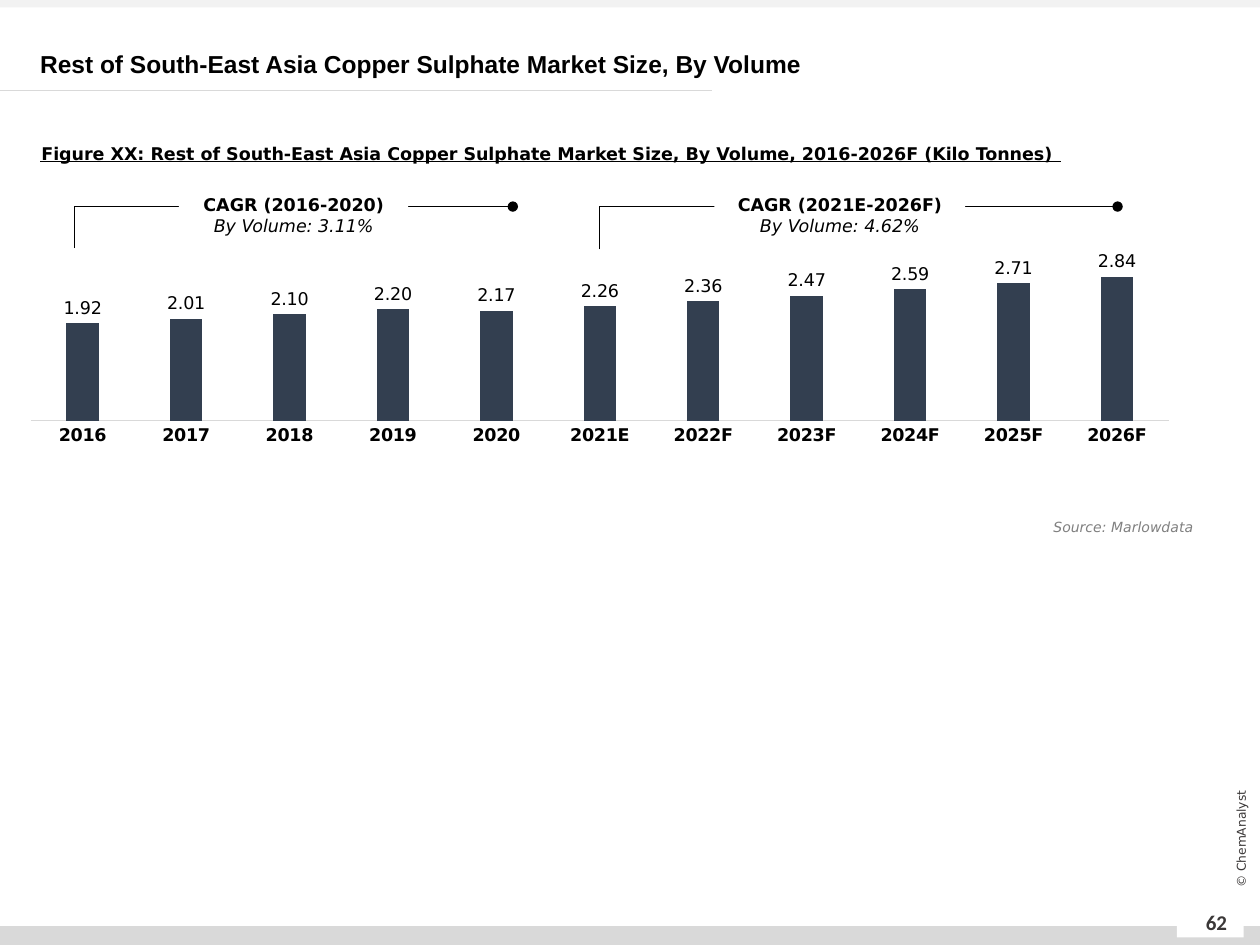
from lxml import etree
from pptx import Presentation
from pptx.chart.data import CategoryChartData
from pptx.dml.color import RGBColor
from pptx.enum import chart as charts, shapes, text
from pptx.oxml import parse_xml
from pptx.oxml.ns import nsdecls, qn
from pptx.util import Inches, Pt

BLACK = RGBColor(0, 0, 0)
WHITE = RGBColor(255, 255, 255)
PALE = RGBColor(0xF2, 0xF2, 0xF2)
SILVER = RGBColor(0xD9, 0xD9, 0xD9)
GREY = RGBColor(0x80, 0x80, 0x80)
DARK = RGBColor(0x3B, 0x38, 0x38)
NAVY = RGBColor(0x33, 0x3F, 0x50)
BODY = "DejaVu Sans"
LEFT, CENTER, RIGHT = text.PP_ALIGN.LEFT, text.PP_ALIGN.CENTER, text.PP_ALIGN.RIGHT
TOP, MIDDLE = text.MSO_ANCHOR.TOP, text.MSO_ANCHOR.MIDDLE

VOLUMES = {
    "2016": 1.92, "2017": 2.01, "2018": 2.10, "2019": 2.20, "2020": 2.17, "2021E": 2.26,
    "2022F": 2.36, "2023F": 2.47, "2024F": 2.59, "2025F": 2.71, "2026F": 2.84,
}
BANDS = [
    ((0, 7.35, 10, 0.15), SILVER),
    ((0, 0, 10, 0.06), PALE),
    ((9.34, 7.22, 0.53, 0.22), WHITE),
]
# Bracket start and end, label area, label lines
GROWTH = [
    ((4.76, 1.98), (8.87, 1.64), (5.67, 1.42, 1.99, 0.57),
     ("CAGR (2021E-2026F)", "By Volume: 4.62%")),
    ((0.59, 1.97), (4.07, 1.64), (1.42, 1.42, 1.82, 0.57),
     ("CAGR (2016-2020)", "By Volume: 3.11%")),
]
FOOTERS = [
    ((9.41, 7.12, 0.49, 0.4), "62", dict(size=Pt(12), name="Calibri", bold=True), 0),
    ((9.25, 6.58, 1.2, 0.16), "© ChemAnalyst", dict(size=Pt(7), name=BODY), 270),
]
FIGURE = ("Figure XX: Rest of South-East Asia Copper Sulphate Market Size, "
          "By Volume, 2016-2026F (Kilo Tonnes)")
TITLE = "Rest of South-East Asia Copper Sulphate Market Size, By Volume"
SOURCE = "Source: Marlowdata"


def set_font(font, color=BLACK, **values):
    for key, value in values.items():
        setattr(font, key, value)
    font.color.rgb = color


def add_block(slide, area, fill):
    block = slide.shapes.add_shape(shapes.MSO_SHAPE.RECTANGLE, *map(Inches, area))
    block.shadow.inherit = False
    block.fill.solid()
    block.fill.fore_color.rgb = fill
    block.line.fill.background()
    return block


def add_text(slide, area, words, font, color=BLACK, align=LEFT, anchor=TOP, spacing=None):
    box = slide.shapes.add_textbox(*map(Inches, area))
    frame = box.text_frame
    frame.word_wrap = True
    frame.vertical_anchor = anchor
    para = frame.paragraphs[0]
    para.text = words
    para.alignment = align
    para.line_spacing = spacing
    set_font(para.font, color, **font)
    return box


def add_line(slide, start, end, color=BLACK, kind=shapes.MSO_CONNECTOR.STRAIGHT):
    line = slide.shapes.add_connector(kind, *map(Inches, start + end))
    line.line.color.rgb = color
    line.line.width = Pt(0.5)
    etree.SubElement(line.element.spPr, qn("a:effectLst"))
    return line


def add_bracket(slide, start, end):
    """Line that rises from start, then runs across to a dot at end."""
    bracket = add_line(slide, start, end, kind=shapes.MSO_CONNECTOR.ELBOW)
    guides = bracket.element.spPr.find(qn("a:prstGeom")).get_or_add_avLst()
    etree.SubElement(guides, qn("a:gd"), name="adj1", fmla="val 0")
    etree.SubElement(bracket.line._get_or_add_ln(), qn("a:tailEnd"), type="oval")


def add_growth(slide, start, end, area, lines):
    add_bracket(slide, start, end)
    frame = add_block(slide, area, WHITE).text_frame
    frame.word_wrap = True
    frame.vertical_anchor = MIDDLE
    frame.text = "\n".join(lines)
    for para, style in zip(frame.paragraphs, ("bold", "italic")):
        para.alignment = CENTER
        set_font(para.font, size=Pt(10), name=BODY, **{style: True})


def add_volume_chart(slide):
    data = CategoryChartData(number_format="0.00")
    data.categories = list(VOLUMES)
    data.add_series("Series 1", list(VOLUMES.values()))
    area = map(Inches, (0.24, 1.8, 9.04, 2.08))
    chart = slide.shapes.add_chart(charts.XL_CHART_TYPE.COLUMN_CLUSTERED, *area, data).chart
    chart.has_legend = chart.has_title = False
    set_font(chart.font, size=Pt(10), name=BODY)

    years = chart.category_axis
    years.major_tick_mark = charts.XL_TICK_MARK.NONE
    years.format.line.color.rgb = SILVER
    years.format.line.width = Pt(0.75)
    set_font(years.tick_labels.font, size=Pt(10), name=BODY, bold=True)
    scale = chart.value_axis
    scale.visible = scale.has_major_gridlines = False
    scale.minimum_scale, scale.maximum_scale = 0, 3

    plot = chart.plots[0]
    plot.gap_width, plot.overlap = 219, -27
    plot.vary_by_categories = False
    bars = plot.series[0]
    bars.format.fill.solid()
    bars.format.fill.fore_color.rgb = NAVY
    labels = bars.data_labels
    label_format = dict(show_value=True, number_format="0.00", number_format_is_linked=False,
                        position=charts.XL_LABEL_POSITION.OUTSIDE_END)
    for key, value in label_format.items():
        setattr(labels, key, value)
    set_font(labels.font, size=Pt(10), name=BODY)

    plot_area = chart.element.chart.plotArea
    for old in plot_area.findall(qn("c:layout")):
        plot_area.remove(old)
    plot_area.insert(0, parse_xml(
        f'<c:layout {nsdecls("c")}><c:manualLayout><c:layoutTarget val="inner"/>'
        '<c:xMode val="edge"/><c:yMode val="edge"/><c:x val="0"/><c:y val="0.16"/>'
        '<c:w val="1"/><c:h val="0.58"/></c:manualLayout></c:layout>'))


def main():
    deck = Presentation()
    deck.slide_width, deck.slide_height = Inches(10), Inches(7.5)
    slide = deck.slides.add_slide(deck.slide_layouts[6])

    for area, fill in BANDS:
        add_block(slide, area, fill)
    add_line(slide, (0, 0.72), (5.65, 0.72), SILVER)
    for area, words, font, angle in FOOTERS:
        add_text(slide, area, words, font, DARK, CENTER, MIDDLE).rotation = angle

    add_volume_chart(slide)
    for growth in GROWTH:
        add_growth(slide, *growth)

    add_text(slide, (0.23, 1, 8.82, 0.32), FIGURE,
             dict(size=Pt(10), name=BODY, bold=True), spacing=1.5)
    add_line(slide, (0.32, 1.28), (8.42, 1.28))
    add_text(slide, (0.22, 0.34, 9.76, 0.32), TITLE,
             dict(size=Pt(14), name="Arial", bold=True), anchor=MIDDLE, spacing=Pt(17))
    add_text(slide, (7.16, 4.07, 2.41, 0.24), SOURCE,
             dict(size=Pt(8), name=BODY, italic=True), GREY, RIGHT)
    deck.save("out.pptx")


if __name__ == "__main__":
    main()
